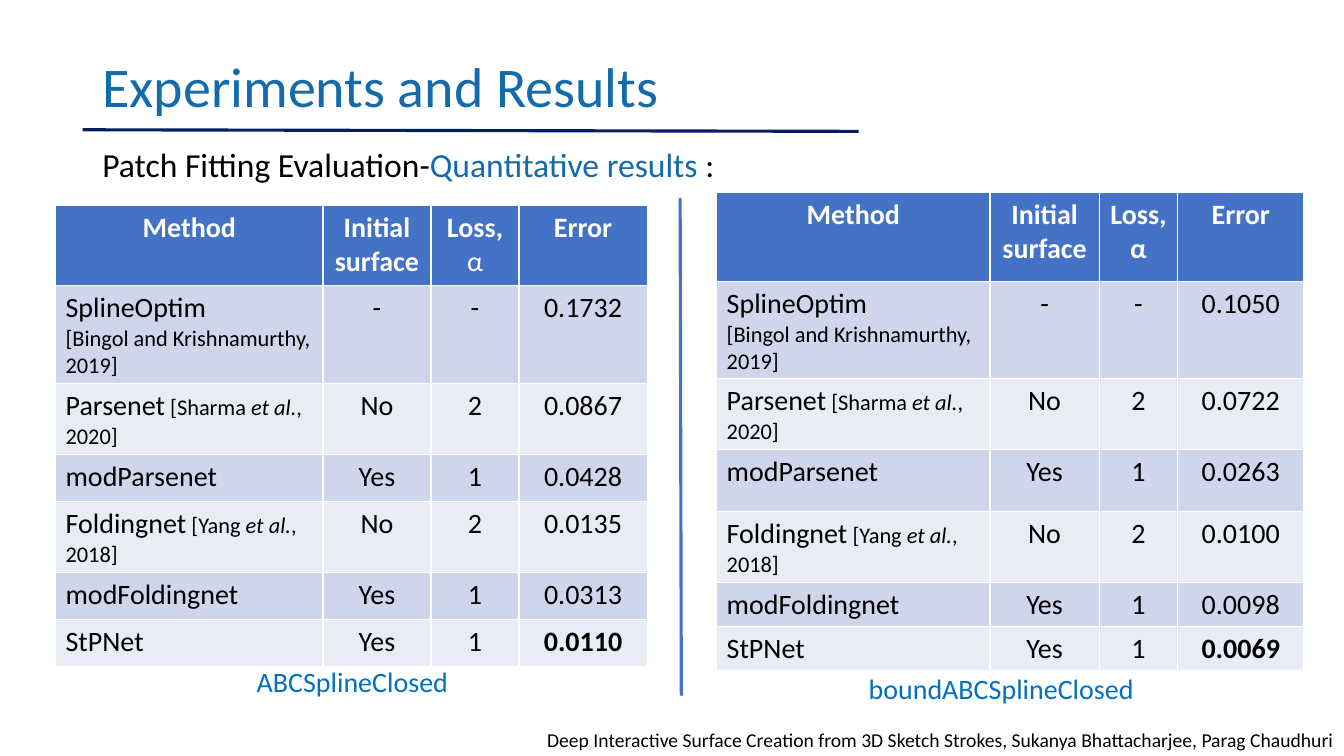
from dataclasses import dataclass

from lxml import etree
from pptx import Presentation
from pptx.dml.color import RGBColor
from pptx.enum.shapes import MSO_CONNECTOR
from pptx.enum.text import MSO_ANCHOR, PP_ALIGN
from pptx.oxml.ns import qn
from pptx.util import Cm, Pt

STRAIGHT = MSO_CONNECTOR.STRAIGHT
TOP, MIDDLE = MSO_ANCHOR.TOP, MSO_ANCHOR.MIDDLE
LEFT, CENTER = PP_ALIGN.LEFT, PP_ALIGN.CENTER


@dataclass(frozen=True)
class Theme:
    font: str = "Calibri"
    heading: str = "136BAB"
    caption: str = "0070C0"
    rule: str = "002060"
    header: str = "4472C4"
    bands: tuple = ("CFD5EA", "E9EBF5")
    black: str = "000000"
    white: str = "FFFFFF"
    title_size: int = 40
    subtitle_size: int = 24
    table_size: int = 20
    citation_size: int = 16
    footer_size: int = 14
    line_width: float = 2.25


theme = Theme()


def write(paragraph, spans, size, color, alignment=LEFT, bold=False):
    paragraph.alignment = alignment
    font = paragraph.font
    font.name, font.size, font.bold = theme.font, Pt(size), bold
    font.color.rgb = RGBColor.from_string(color)
    for text, changes in spans:
        run = paragraph.add_run()
        run.text = text
        if "size" in changes:
            run.font.size = Pt(changes["size"])
        if "color" in changes:
            run.font.color.rgb = RGBColor.from_string(changes["color"])
        if "bold" in changes:
            run.font.bold = changes["bold"]
        if "italic" in changes:
            run.font.italic = changes["italic"]


presentation = Presentation()
presentation.slide_width, presentation.slide_height = Cm(33.87), Cm(19.05)
slide = presentation.slides.add_slide(presentation.slide_layouts[6])

subtitle = [
    ("Patch Fitting Evaluation-", {}),
    ("Quantitative results", {"color": theme.heading}),
    (" :", {}),
]
footer = "Deep Interactive Surface Creation from 3D Sketch Strokes, Sukanya Bhattacharjee, Parag Chaudhuri"
text_boxes = [
    ((2.33, 1.02, 29.21, 2.49), [("Experiments and Results", {})], theme.title_size, theme.heading, MIDDLE, 0.9),
    ((2.33, 3.61, 17.42, 1.68), subtitle, theme.subtitle_size, theme.black, TOP, 0.9),
    ((13.54, 18.21, 20.33, 0.86), [(footer, {})], theme.footer_size, theme.black, TOP, 1.0),
    ((6.22, 16.61, 6.58, 1.13), [("ABCSplineClosed", {})], theme.table_size, theme.caption, TOP, 1.0),
    ((21.64, 16.79, 7.98, 1.13), [("boundABCSplineClosed", {})], theme.table_size, theme.caption, TOP, 1.0),
]
for place, spans, size, color, anchor, spacing in text_boxes:
    text_frame = slide.shapes.add_textbox(*map(Cm, place)).text_frame
    text_frame.word_wrap = True
    text_frame.margin_right = 0
    text_frame.vertical_anchor = anchor
    paragraph = text_frame.paragraphs[0]
    paragraph.line_spacing = spacing
    write(paragraph, spans, size, color)

for ends, color in [
    ((2.08, 3.27, 21.64, 3.31), theme.rule),
    ((17.14, 4.99, 17.17, 17.53), theme.header),
]:
    connector = slide.shapes.add_connector(STRAIGHT, *map(Cm, ends))
    connector.line.color.rgb = RGBColor.from_string(color)
    connector.line.width = Pt(theme.line_width)
    etree.SubElement(connector._element.spPr, qn("a:effectLst"))

methods = [
    ("SplineOptim", "", "", "-", "-"),
    ("Parsenet", "Sharma", "2020", "No", "2"),
    ("modParsenet", "", "", "Yes", "1"),
    ("Foldingnet", "Yang", "2018", "No", "2"),
    ("modFoldingnet", "", "", "Yes", "1"),
    ("StPNet", "", "", "Yes", "1"),
]
small = {"size": theme.citation_size}
results = [
    (
        (1.4, 5.18),
        (6.74, 2.72, 2.22, 3.23),
        (2.02, 2.47, 1.79, 1.18, 1.79, 1.18, 1.18),
        [("Loss, ", {}), ("α", {"bold": False})],
        ("0.1732", "0.0867", "0.0428", "0.0135", "0.0313", "0.0110"),
    ),
    (
        (18.06, 4.86),
        (6.89, 2.75, 1.98, 3.18),
        (2.23, 2.44, 1.79, 1.56, 1.79, 1.1, 1.1),
        [("Loss, α", {})],
        ("0.1050", "0.0722", "0.0263", "0.0100", "0.0098", "0.0069"),
    ),
]
for (left, top), widths, heights, loss, errors in results:
    rows = [[[("Method", {})], [("Initial surface", {})], loss, [("Error", {})]]]
    for (name, author, year, initial, alpha), error in zip(methods, errors):
        label = [(name, {})]
        if author:
            label += [
                (f" [{author} ", small),
                ("et al.", {**small, "italic": True}),
                (f", {year}]", small),
            ]
        best = {"bold": True} if error == min(errors) else {}
        rows.append([label, [(initial, {})], [(alpha, {})], [(error, best)]])

    table = slide.shapes.add_table(
        len(heights), len(widths), Cm(left), Cm(top), Cm(sum(widths)), Cm(sum(heights))
    ).table
    for column, width in zip(table.columns, widths):
        column.width = Cm(width)
    for row, height in zip(table.rows, heights):
        row.height = Cm(height)
    for row_index, row in enumerate(rows):
        is_header = row_index == 0
        fill = theme.header if is_header else theme.bands[(row_index - 1) % 2]
        color = theme.white if is_header else theme.black
        for column_index, spans in enumerate(row):
            cell = table.cell(row_index, column_index)
            cell.fill.solid()
            cell.fill.fore_color.rgb = RGBColor.from_string(fill)
            alignment = CENTER if is_header or column_index else LEFT
            write(cell.text_frame.paragraphs[0], spans, theme.table_size, color, alignment, is_header)
    citation = table.cell(1, 0).text_frame.add_paragraph()
    write(citation, [("[Bingol and Krishnamurthy, 2019]", {})], theme.citation_size, theme.black)

presentation.save("out.pptx")
